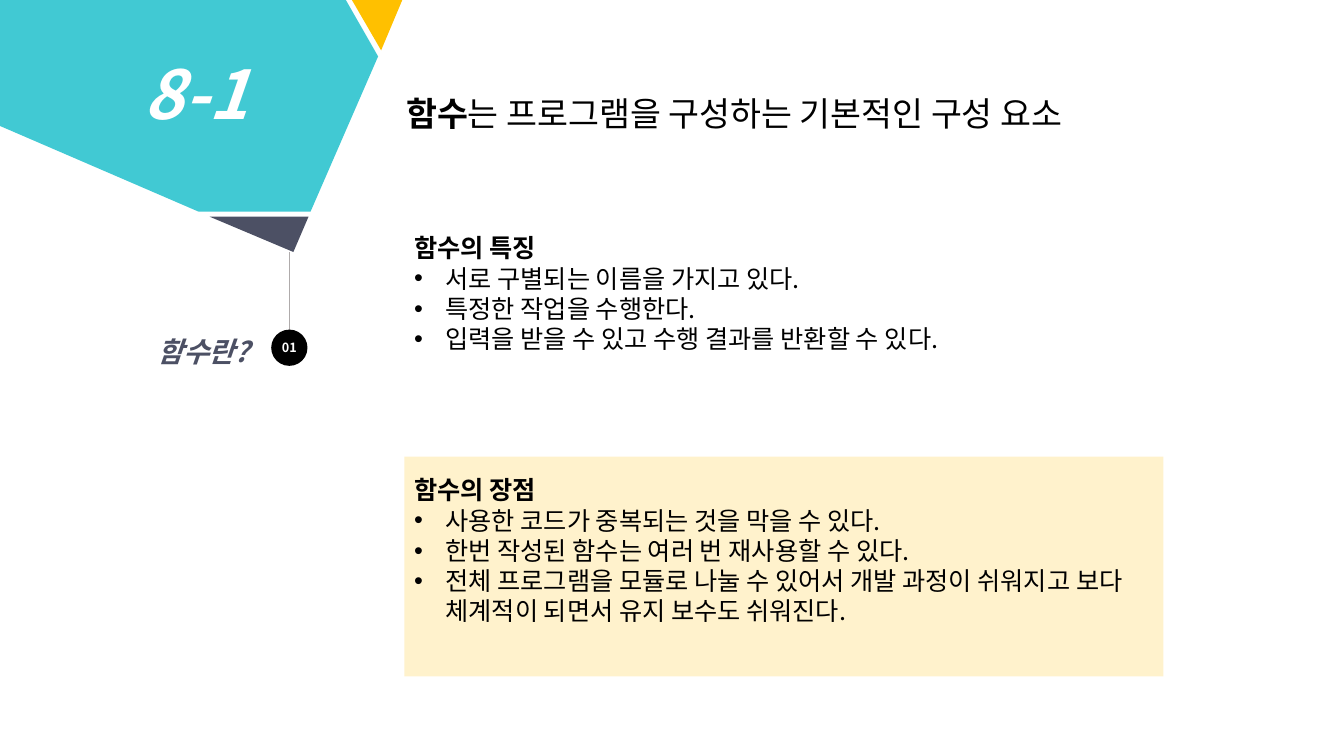
from dataclasses import dataclass

from lxml import etree
from pptx import Presentation
from pptx import util as u
from pptx.dml.color import RGBColor
from pptx.enum import shapes, text
from pptx.oxml.ns import qn


@dataclass(frozen=True)
class Theme:
    font: str = "Noto Sans CJK KR"
    black: str = "000000"
    white: str = "FFFFFF"
    teal: str = "41C9D3"
    amber: str = "FFC000"
    slate: str = "4C5064"
    cream: str = "FFF2CC"
    gray: str = "AFABAB"
    number_size: int = 48
    title_size: int = 24
    topic_size: int = 20
    body_size: int = 18
    badge_size: int = 9


theme = Theme()
LEFT, CENTER, RIGHT = text.PP_ALIGN.LEFT, text.PP_ALIGN.CENTER, text.PP_ALIGN.RIGHT


def write(frame, paragraphs, size, color=theme.black, italic=False, align=LEFT, bulleted=False):
    """Fill a frame; each paragraph is a list of (text, bold) runs, bullets start at the second."""
    for index, runs in enumerate(paragraphs):
        paragraph = frame.paragraphs[0] if index == 0 else frame.add_paragraph()
        paragraph.alignment = align
        if bulleted and index > 0:
            properties = paragraph._p.get_or_add_pPr()
            properties.set("marL", str(u.Inches(0.31)))
            properties.set("indent", str(u.Inches(-0.31)))
            etree.SubElement(properties, qn("a:buFont"), typeface="Arial")
            etree.SubElement(properties, qn("a:buChar"), char="•")
        for content, bold in runs:
            run = paragraph.add_run()
            run.text = content
            run.font.size = u.Pt(size)
            run.font.bold = bold
            run.font.italic = italic
            run.font.color.rgb = RGBColor.from_string(color)
            run.font.name = theme.font
            etree.SubElement(run._r.get_or_add_rPr(), qn("a:ea"), typeface=theme.font)


def paint(shape, color):
    shape.shadow.inherit = False
    shape.fill.solid()
    shape.fill.fore_color.rgb = RGBColor.from_string(color)
    shape.line.fill.background()


presentation = Presentation()
presentation.slide_width = u.Inches(13.33)
presentation.slide_height = u.Inches(7.5)
slide = presentation.slides.add_slide(presentation.slide_layouts[6])

# Panel behind the advantages
panel = slide.shapes.add_shape(
    shapes.MSO_SHAPE.RECTANGLE, u.Inches(4.01), u.Inches(4.53), u.Inches(7.53), u.Inches(2.18))
paint(panel, theme.cream)

# Line from the corner ornament to the badge
stem = slide.shapes.add_connector(
    shapes.MSO_CONNECTOR.STRAIGHT, u.Inches(2.87), u.Inches(2.5), u.Inches(2.87), u.Inches(3.63))
stem.line.color.rgb = RGBColor.from_string(theme.gray)
stem.line.width = u.Pt(0.5)
etree.SubElement(stem._element.spPr, qn("a:effectLst"))

# Corner ornament
ornament = [
    (theme.amber, [(3.49, 0), (4.01, 0), (3.99, 0), (3.78, 0.5)]),
    (theme.teal, [(0, 0), (3.43, 0), (3.75, 0.56), (3.08, 2.1), (1.97, 2.1), (0, 1.25)]),
    (theme.slate, [(2.08, 2.15), (3.06, 2.15), (2.91, 2.5)]),
]
for color, corners in ornament:
    points = [(u.Inches(x), u.Inches(y)) for x, y in corners]
    builder = slide.shapes.build_freeform(*points[0])
    builder.add_line_segments(points[1:], close=True)
    paint(builder.convert_to_shape(), color)

# Badge
badge = slide.shapes.add_shape(
    shapes.MSO_SHAPE.OVAL, u.Inches(2.69), u.Inches(3.27), u.Inches(0.36), u.Inches(0.36))
paint(badge, theme.black)
frame = badge.text_frame
frame.margin_left = frame.margin_top = frame.margin_right = frame.margin_bottom = 0
frame.vertical_anchor = text.MSO_ANCHOR.MIDDLE
write(frame, [[("01", True)]], theme.badge_size, theme.white, align=CENTER)

# Text boxes: place, wrapping, paragraphs, format
features = [
    [("함수의 특징", True)],
    [("서로 구별되는 이름을 가지고 있다.", False)],
    [("특정한 작업을 수행한다.", False)],
    [("입력을 받을 수 있고 수행 결과를 반환할 수 있다.", False)],
]
advantages = [
    [("함수의 장점", True)],
    [("사용한 코드가 중복되는 것을 막을 수 있다.", False)],
    [("한번 작성된 함수는 여러 번 재사용할 수 있다.", False)],
    [("전체 프로그램을 모듈로 나눌 수 있어서 개발 과정이 쉬워지고 보다 "
      "체계적이 되면서 유지 보수도 쉬워진다.", False)],
]
title = [[("함수", True), ("는 프로그램을 구성하는 기본적인 구성 요소", False)]]
text_boxes = [
    ((0.16, 3.27, 2.41, 0.44), True, [[("함수란?", True)]],
     dict(size=theme.topic_size, color=theme.slate, italic=True, align=RIGHT)),
    ((1.33, 0.47, 1.26, 0.91), False, [[("8-1", True)]],
     dict(size=theme.number_size, color=theme.white, italic=True)),
    ((3.93, 0.87, 7.53, 0.5), False, title, dict(size=theme.title_size)),
    ((4.01, 2.26, 6.03, 1.31), False, features, dict(size=theme.body_size, bulleted=True)),
    ((4.01, 4.66, 7.65, 1.62), True, advantages, dict(size=theme.body_size, bulleted=True)),
]
for place, wraps, paragraphs, text_format in text_boxes:
    frame = slide.shapes.add_textbox(*map(u.Inches, place)).text_frame
    frame.word_wrap = wraps
    frame.auto_size = text.MSO_AUTO_SIZE.SHAPE_TO_FIT_TEXT
    write(frame, paragraphs, **text_format)

presentation.save("out.pptx")
